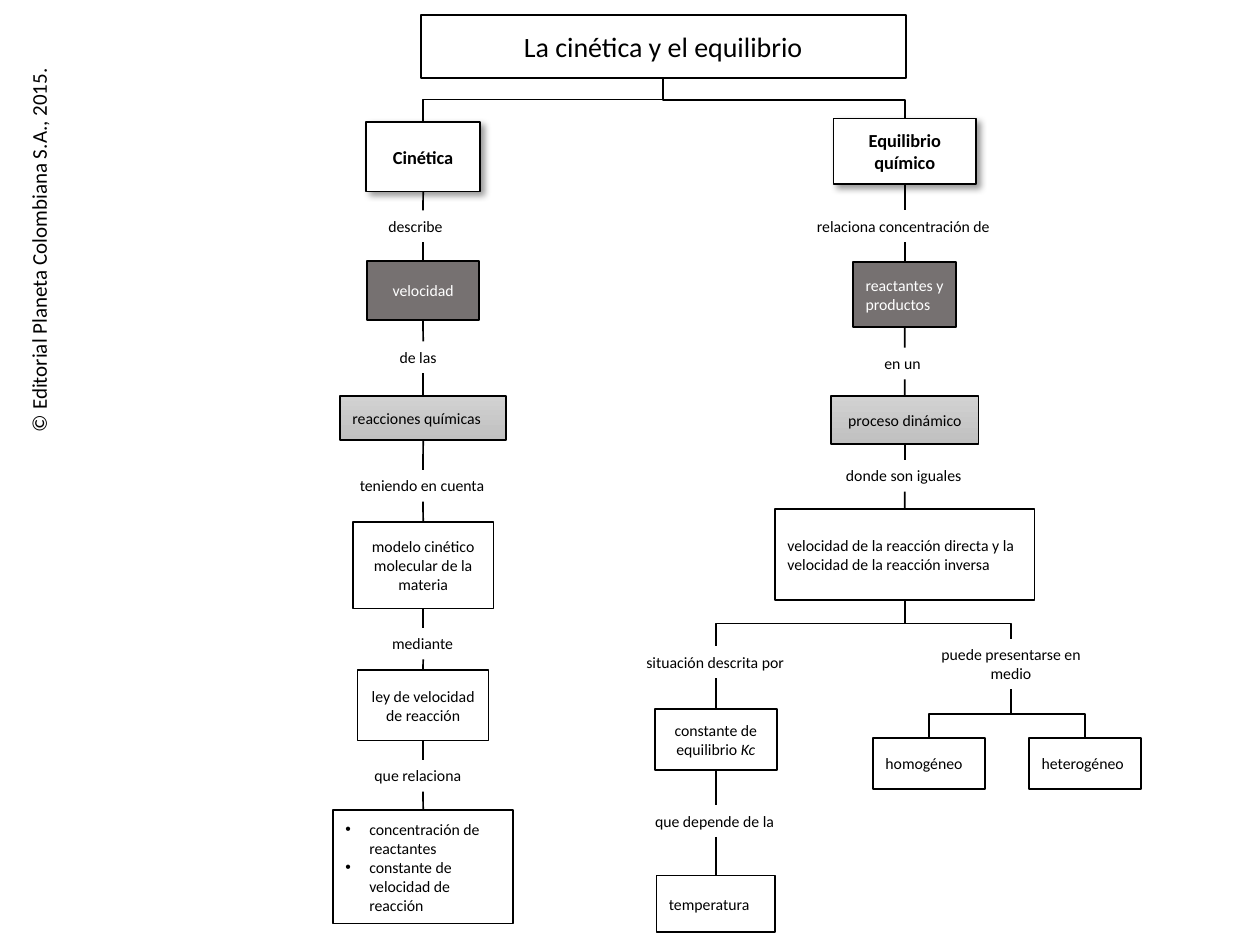
from lxml.etree import SubElement
from pptx import Presentation
from pptx.dml.color import RGBColor
from pptx.enum.shapes import MSO_CONNECTOR as LINK, MSO_SHAPE as SHAPE
from pptx.enum.text import MSO_ANCHOR as ANCHOR, MSO_AUTO_SIZE as AUTO, PP_ALIGN as ALIGN
from pptx.oxml.ns import qn
from pptx.util import Cm, Pt

BLACK = RGBColor(0x00, 0x00, 0x00)
WHITE = RGBColor(0xFF, 0xFF, 0xFF)
DARK = RGBColor(0x76, 0x71, 0x71)
SILVER_TOP = RGBColor(0xD2, 0xD2, 0xD2)
SILVER_BOTTOM = RGBColor(0xC0, 0xC0, 0xC0)
FONT = "Calibri"
LABEL_HEIGHT = 0.64

STYLES = {
    "title": {"size": 16},
    "head": {"size": 10.5, "bold": True, "shadow": True},
    "dark": {"fill": DARK, "color": WHITE},
    "dark left": {"fill": DARK, "color": WHITE, "align": ALIGN.LEFT},
    "silver": {"gradient": True},
    "silver left": {"gradient": True, "align": ALIGN.LEFT},
    "plain": {},
    "plain left": {"align": ALIGN.LEFT},
    "bullets": {"align": ALIGN.LEFT, "bullets": True},
    "label": {"label": True, "wrap": False, "align": ALIGN.LEFT},
    "wrapped": {"label": True, "align": ALIGN.LEFT},
    "centred": {"label": True},
}

TITLE = (13.37, 0.3, 9.78, 1.27, "La cinética y el equilibrio")
COPYRIGHT = "© Editorial Planeta Colombiana S.A., 2015."

# style, top, width, height, paragraphs
CHAINS = {
    "kinetics": (8.53, [
        ("head", 2.46, 2.29, 1.4, ["Cinética"]),
        ("wrapped", 4.24, 1.9, LABEL_HEIGHT, ["describe"]),
        ("dark", 5.26, 2.26, 1.19, ["velocidad"]),
        ("wrapped", 6.88, 1.45, LABEL_HEIGHT, ["de las"]),
        ("silver left", 7.98, 3.35, 0.89, ["reacciones químicas"]),
        ("label", 9.47, 3.05, LABEL_HEIGHT, ["teniendo en cuenta"]),
        ("plain", 10.52, 2.84, 1.75, ["modelo cinético molecular de la materia"]),
        ("label", 12.65, 1.75, LABEL_HEIGHT, ["mediante"]),
        ("plain", 13.51, 2.64, 1.42, ["ley de velocidad de reacción"]),
        ("wrapped", 15.32, 2.46, LABEL_HEIGHT, ["que relaciona"]),
        ("bullets", 16.33, 3.63, 2.29,
         ["concentración de reactantes", "constante de velocidad de reacción"]),
    ]),
    "equilibrium": (18.24, [
        ("head", 2.39, 2.87, 1.32, ["Equilibrio químico"]),
        ("label", 4.24, 4.04, LABEL_HEIGHT, ["relaciona concentración de"]),
        ("dark left", 5.28, 2.08, 1.32, ["reactantes y productos"]),
        ("label", 7.01, 1.32, LABEL_HEIGHT, ["en un"]),
        ("silver", 7.98, 2.97, 0.97, ["proceso dinámico"]),
        ("label", 9.27, 2.87, LABEL_HEIGHT, ["donde son iguales"]),
        ("plain left", 10.26, 5.23, 1.83,
         ["velocidad de la reacción directa y la", "velocidad de la reacción inversa"]),
    ]),
    "constant": (14.43, [
        ("label", 13.03, 3.3, LABEL_HEIGHT, ["situación descrita por"]),
        ("plain", 14.3, 2.46, 1.23, ["constante de equilibrio| Kc"]),
        ("label", 16.23, 2.95, LABEL_HEIGHT, ["que depende de la"]),
        ("plain left", 17.65, 2.39, 1.14, ["temperatura"]),
    ]),
    "medium": (20.38, [
        ("centred", 12.88, 3.43, 1.02, ["puede presentarse en medio"]),
    ]),
    "homogeneous": (18.73, [("plain left", 14.88, 2.26, 1.02, ["homogéneo"])]),
    "heterogeneous": (21.88, [("plain left", 14.88, 2.26, 1.02, ["heterogéneo"])]),
}

# parent, children, height of the shared crossbar
BRANCHES = [
    ("title", ["kinetics", "equilibrium"], 2.01),
    ("equilibrium", ["constant", "medium"], 12.57),
    ("medium", ["homogeneous", "heterogeneous"], 14.4),
]


def write(box, paragraphs, style):
    frame = box.text_frame
    frame.word_wrap = style.get("wrap", True)
    label = style.get("label", False)
    frame.vertical_anchor = ANCHOR.TOP if label else ANCHOR.MIDDLE
    frame.auto_size = AUTO.SHAPE_TO_FIT_TEXT if label else AUTO.NONE
    for index, text in enumerate(paragraphs):
        para = frame.add_paragraph() if index else frame.paragraphs[0]
        para.alignment = style.get("align", ALIGN.CENTER)
        if style.get("bullets"):
            settings = para._p.get_or_add_pPr()
            settings.set("marL", str(Cm(0.48)))
            settings.set("indent", str(-Cm(0.48)))
            SubElement(settings, qn("a:buFont"), typeface="Arial")
            SubElement(settings, qn("a:buChar"), char="•")
        for part, words in enumerate(text.split("|")):
            span = para.add_run()
            span.text = words
            look = {"name": FONT, "size": Pt(style.get("size", 9)),
                    "bold": style.get("bold", False), "italic": part > 0}
            for name, value in look.items():
                setattr(span.font, name, value)
            span.font.color.rgb = style.get("color", BLACK)


def paint(box, style):
    if style.get("gradient"):
        box.fill.gradient()
        box.fill.gradient_angle = 270
        for stop, color in zip(box.fill.gradient_stops, (SILVER_TOP, SILVER_BOTTOM)):
            stop.color.rgb = color
    else:
        box.fill.solid()
        box.fill.fore_color.rgb = style.get("fill", WHITE)
    box.line.color.rgb = BLACK
    box.line.width = Pt(1)
    box.shadow.inherit = False
    if style.get("shadow"):
        effects = box._element.spPr.find(qn("a:effectLst"))
        shadow = SubElement(effects, qn("a:outerShdw"), blurRad=str(Pt(4)),
                            dist=str(Pt(3)), dir="2700000", algn="tl", rotWithShape="0")
        color = SubElement(shadow, qn("a:srgbClr"), val=str(BLACK))
        SubElement(color, qn("a:alpha"), val="40000")


def add_node(page, center, node):
    kind, top, width, height, paragraphs = node
    style = STYLES[kind]
    place = [Cm(value) for value in (center - width / 2, top, width, height)]
    if style.get("label"):
        box = page.shapes.add_textbox(*place)
    else:
        box = page.shapes.add_shape(SHAPE.RECTANGLE, *place)
        paint(box, style)
    write(box, paragraphs, style)
    return box


def finish(link):
    link.line.color.rgb = BLACK
    link.line.width = Pt(1)
    SubElement(link._element.spPr, qn("a:effectLst"))


def join(page, upper, lower):
    link = page.shapes.add_connector(LINK.STRAIGHT, 0, 0, 0, 0)
    link.begin_connect(upper, 2)
    link.end_connect(lower, 0)
    finish(link)


def branch(page, upper, lower, crossbar):
    start_x, start_y = upper.left + upper.width // 2, upper.top + upper.height
    end_x, end_y = lower.left + lower.width // 2, lower.top
    drop, reach = end_y - start_y, abs(end_x - start_x)
    left = (start_x + end_x - drop) // 2
    top = (start_y + end_y - reach) // 2
    rightward = end_x > start_x
    ends = (left + drop, left) if rightward else (left, left + drop)
    link = page.shapes.add_connector(LINK.ELBOW, ends[0], top, ends[1], top + reach)
    shape = link._element.spPr
    shape.find(qn("a:xfrm")).set("rot", "16200000" if rightward else "5400000")
    bend = round((Cm(crossbar) - start_y) / drop * 100000)
    guides = shape.find(qn("a:prstGeom")).find(qn("a:avLst"))
    SubElement(guides, qn("a:gd"), name="adj1", fmla=f"val {bend}")
    finish(link)


def main():
    deck = Presentation()
    deck.slide_width, deck.slide_height = Cm(25.4), Cm(19.05)
    page = deck.slides.add_slide(deck.slide_layouts[5])

    center, top, width, height, text = TITLE
    title = page.shapes.title
    place = {"left": center - width / 2, "top": top, "width": width, "height": height}
    for name, value in place.items():
        setattr(title, name, Cm(value))
    paint(title, STYLES["title"])
    write(title, [text], STYLES["title"])

    notice = page.shapes.add_textbox(Cm(-3.18), Cm(4.62), Cm(7.92), Cm(0.76))
    notice.rotation = 270
    write(notice, [COPYRIGHT], {**STYLES["label"], "size": 12})

    first, last = {}, {"title": title}
    for name, (center, nodes) in CHAINS.items():
        boxes = [add_node(page, center, node) for node in nodes]
        for upper, lower in zip(boxes, boxes[1:]):
            join(page, upper, lower)
        first[name], last[name] = boxes[0], boxes[-1]

    for parent, children, crossbar in BRANCHES:
        for child in children:
            branch(page, last[parent], first[child], crossbar)

    deck.save("out.pptx")


if __name__ == "__main__":
    main()
